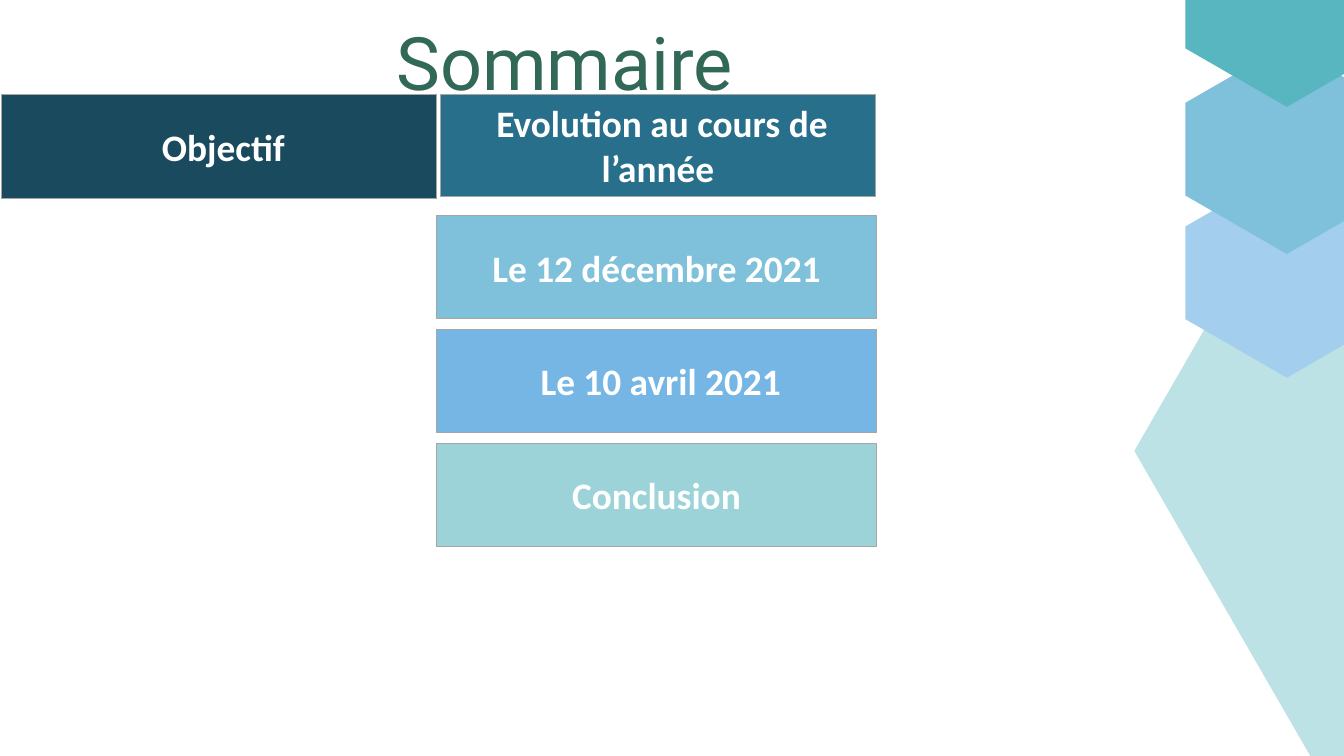
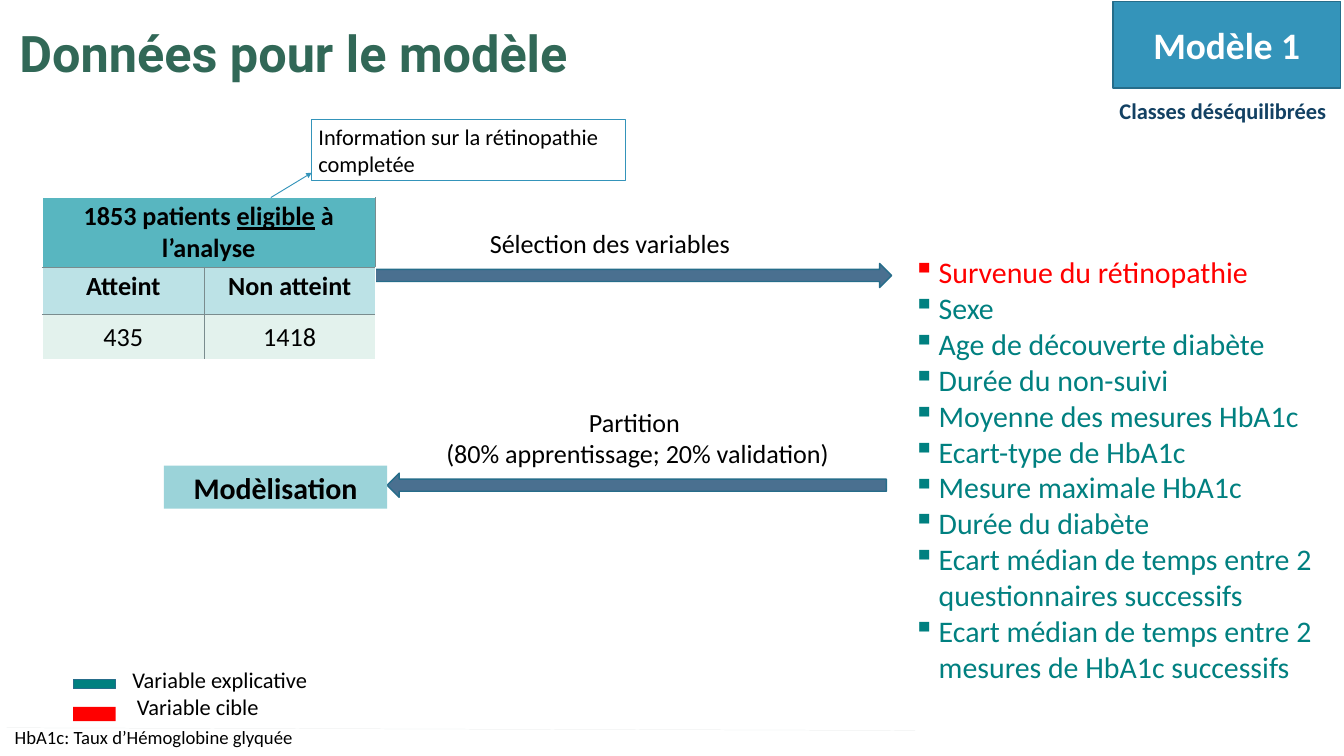
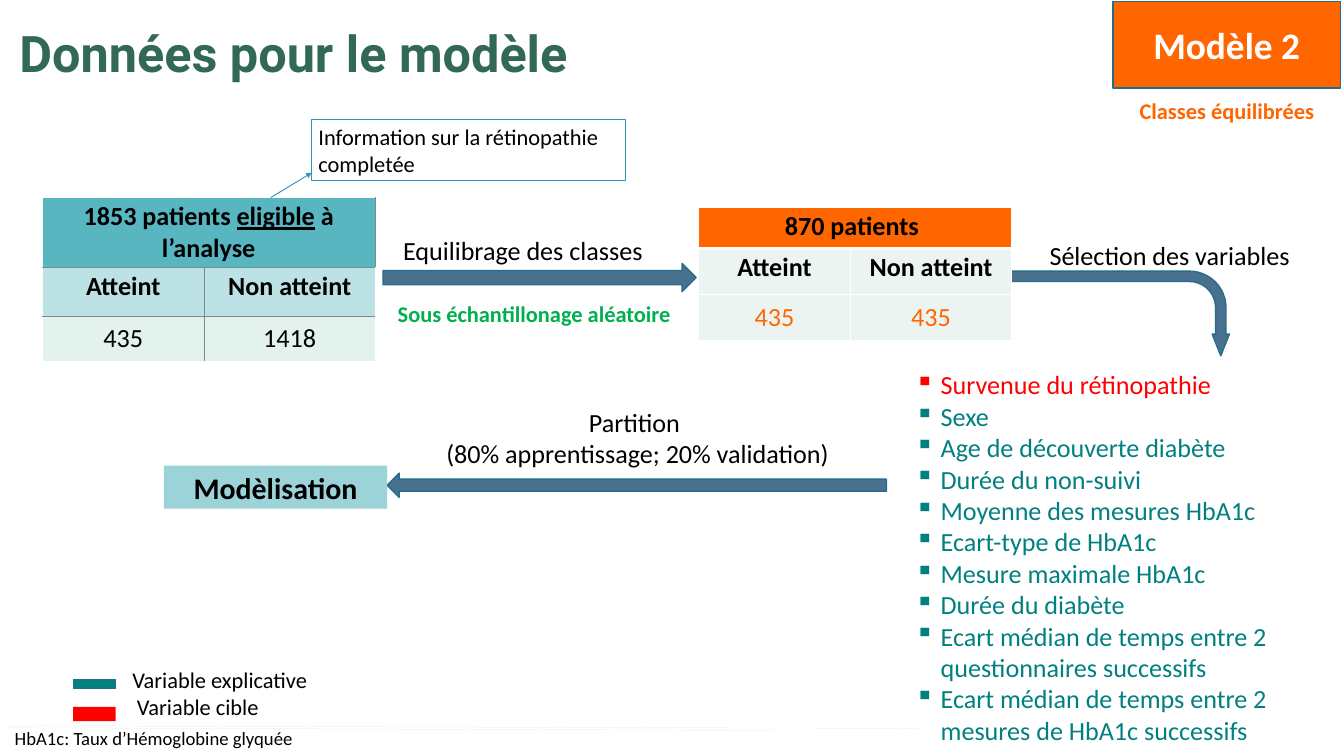
import lxml.etree
import pptx
import pptx.dml.color
import pptx.enum.shapes
import pptx.enum.text
import pptx.oxml.ns
import pptx.util

Inches = pptx.util.Inches
SHAPES = pptx.enum.shapes.MSO_SHAPE
ALIGN = pptx.enum.text.PP_ALIGN
ANCHOR = pptx.enum.text.MSO_ANCHOR
WIDTH, HEIGHT = 20, 11.25


class Theme:
    body, heading = "Calibri", "Roboto"
    green, black, white = "316857", "000000", "FFFFFF"
    teal, red, orange = "008080", "FF0000", "FF6600"
    blue, blue_edge, arrow = "3494BA", "266D8A", "4A7090"
    box_edge, cell_edge, hairline = "A6A6A6", "7A8C8E", "E4E8E8"
    aqua, sea, mist, mint, pale = "58B6C0", "9BD3D9", "BCE2E6", "E3F2ED", "ECF4F1"
    sky, ice, azure = "7FC1DB", "A3CEED", "75B6E5"
    petrol, ocean, navy, leaf = "1A4A5D", "276F8B", "134163", "00B050"
    cover, title, badge, step, label, small, note = 79, 54, 40, 32, 28, 24, 20


# Content
AGENDA_HEADS = [(" Objectif", Theme.petrol, 1.56),
                (" Evolution au cours de l’année", Theme.ocean, 1.53)]
AGENDA_STEPS = [("Le 12 décembre 2021", Theme.sky),
                (" Le 10 avril 2021", Theme.azure),
                ("Conclusion", Theme.sea)]
# Centre, half width, half width of the flat side, half height
DIAMOND = (21.4, 6.71, 4.52, 1.67, 4.94)
HEXAGONS = [(4.06, Theme.ice), (2.22, Theme.sky), (0.03, Theme.aqua)]

TARGET = "Survenue du rétinopathie"
EXPLANATORY = [
    "Sexe", "Age de découverte diabète", "Durée du non-suivi",
    "Moyenne des mesures HbA1c", "Ecart-type de HbA1c", "Mesure maximale HbA1c",
    "Durée du diabète", "Ecart médian de temps entre 2 questionnaires successifs",
    "Ecart médian de temps entre 2 mesures de HbA1c successifs"]
LEGEND = [("Variable explicative", Theme.teal, 1.87, 9.86, 10.11, 0.14, Theme.blue_edge),
          ("Variable cible", Theme.red, 1.94, 10.27, 10.52, 0.21, None)]
CLASSES = ["Atteint", "Non atteint"]
ELIGIBLE = dict(
    head=[("1853 patients ", {}), ("eligible", {"underline": True}), (" à l’analyse", {})],
    counts=["435", "1418"], fills=[Theme.aqua, Theme.mist, Theme.mint],
    edge=Theme.cell_edge, count_color=Theme.black, head_rule=1)
BALANCED = dict(
    head="870 patients ", counts=["435", "435"],
    fills=[Theme.orange, Theme.pale, Theme.pale],
    edge=Theme.white, count_color=Theme.orange, head_rule=3)
MODEL_1 = dict(
    name="Modèle 1", classes="Classes déséquilibrées", classes_left=16.56,
    fill=Theme.blue, color=Theme.navy, class_row=0.71, note_top=10.75,
    list_at=(13.49, 3.73, 6.29, 7.1), list_size=Theme.step,
    hairlines=[(0.1, 10.83, 13.62, 10.87)])
MODEL_2 = dict(
    name="Modèle 2", classes="Classes équilibrées", classes_left=16.86,
    fill=Theme.orange, color=Theme.orange, class_row=0.73, note_top=10.77,
    list_at=(13.52, 5.44, 6.25, 6.23), list_size=Theme.label,
    hairlines=[(0.1, 10.83, 11.47, 10.87), (0.17, 10.8, 13.68, 10.84)])


# Building blocks
def rgb(color):
    return pptx.dml.color.RGBColor.from_string(color)


def add_xml(parent, tag, **attributes):
    return lxml.etree.SubElement(parent, pptx.oxml.ns.qn(tag), attributes)


def write(frame, paragraphs, size=Theme.label, color=Theme.black, bold=False,
          font=Theme.body, align=ALIGN.LEFT, bullet=None, spacing=None):
    """Fill a frame; a paragraph is a string or a list of (text, overrides) runs."""
    frame.word_wrap = True
    for index, content in enumerate(paragraphs):
        paragraph = frame.add_paragraph() if index else frame.paragraphs[0]
        paragraph.alignment = align
        if spacing:
            paragraph.line_spacing = pptx.util.Pt(spacing)
        if bullet:
            properties = paragraph._p.get_or_add_pPr()
            properties.set("marL", str(Inches(0.38)))
            properties.set("indent", str(-Inches(0.38)))
            add_xml(properties, "a:buChar", char=bullet)
        for text, overrides in [(content, {})] if isinstance(content, str) else content:
            run = paragraph.add_run()
            run.text = text
            run.font.name, run.font.size = font, pptx.util.Pt(size)
            run.font.bold = bold
            run.font.underline = overrides.get("underline")
            run.font.color.rgb = rgb(overrides.get("color", color))


def add_text(slide, at, *paragraphs, inset=None, **style):
    frame = slide.shapes.add_textbox(*map(Inches, at)).text_frame
    write(frame, paragraphs, **style)
    frame.auto_size = pptx.enum.text.MSO_AUTO_SIZE.SHAPE_TO_FIT_TEXT
    if inset is not None:
        set_insets(frame, inset)


def set_insets(frame, inset):
    frame.margin_left = frame.margin_right = Inches(inset)
    frame.margin_top = frame.margin_bottom = Inches(inset)


def paint(shape, fill, edge=None, weight=1.5):
    shape.shadow.inherit = False
    shape.fill.solid()
    shape.fill.fore_color.rgb = rgb(fill)
    if edge:
        shape.line.color.rgb = rgb(edge)
        shape.line.width = pptx.util.Pt(weight)
    else:
        shape.line.fill.background()


def add_box(slide, at, fill, *paragraphs, edge=None, weight=1.5, inset=None,
            kind=SHAPES.RECTANGLE, rotation=0, adjust=(), **style):
    box = slide.shapes.add_shape(kind, *map(Inches, at))
    paint(box, fill, edge, weight)
    box.rotation = rotation
    for index, value in enumerate(adjust):
        box.adjustments[index] = value
    if paragraphs:
        box.text_frame.vertical_anchor = ANCHOR.MIDDLE
        write(box.text_frame, paragraphs, **style)
    if inset is not None:
        set_insets(box.text_frame, inset)


def add_arrow(slide, at, kind=SHAPES.RIGHT_ARROW, **options):
    add_box(slide, at, Theme.arrow, edge=Theme.blue_edge, kind=kind, **options)


def add_line(slide, ends, color, weight, pointed=False):
    line = slide.shapes.add_connector(
        pptx.enum.shapes.MSO_CONNECTOR.STRAIGHT, *map(Inches, ends))
    line.line.color.rgb = rgb(color)
    line.line.width = pptx.util.Pt(weight)
    if pointed:
        add_xml(line.line._get_or_add_ln(), "a:tailEnd", type="triangle")
    add_xml(line._element.spPr, "a:effectLst")


def add_polygon(slide, points, fill):
    start, *others = [(Inches(x), Inches(y)) for x, y in points]
    builder = slide.shapes.build_freeform(*start)
    builder.add_line_segments(others, close=True)
    paint(builder.convert_to_shape(), fill)
    slide.shapes[-1].line.fill.background()


def set_borders(cell, borders):
    properties = cell._tc.get_or_add_tcPr()
    for side, (color, weight) in zip("LRTB", borders):
        line = add_xml(properties, "a:ln" + side, w=str(pptx.util.Pt(weight)))
        add_xml(add_xml(line, "a:solidFill"), "a:srgbClr", val=color)


def add_patients(slide, patients, at, columns, rows):
    table = slide.shapes.add_table(3, 2, *map(Inches, at), Inches(sum(columns)),
                                   Inches(sum(rows))).table
    table.first_row = table.horz_banding = False
    for column, width in zip(table.columns, columns):
        column.width = Inches(width)
    for row, height in zip(table.rows, rows):
        row.height = Inches(height)
    table.cell(0, 0).merge(table.cell(0, 1))
    outer, inner = (Theme.white, 1), (patients["edge"], 1)
    head_rule = (patients["edge"], patients["head_rule"])
    contents = [[patients["head"], None], CLASSES, patients["counts"]]
    for r, line in enumerate(contents):
        for c, content in enumerate(line):
            cell = table.cell(r, c)
            set_borders(cell, [inner if c else outer, outer if c else inner,
                               [outer, head_rule, inner][r], [head_rule, inner, outer][r]])
            cell.fill.solid()
            cell.fill.fore_color.rgb = rgb(patients["fills"][r])
            counts = r == 2
            if counts:
                cell.vertical_anchor = ANCHOR.MIDDLE
            if content:
                write(cell.text_frame, [content], bold=not counts, align=ALIGN.CENTER,
                      color=patients["count_color"] if counts else Theme.black)


# Slides
def draw_agenda(slide):
    add_text(slide, (5.9, 0.36, 10.9, 1.24), "Sommaire", size=Theme.cover,
             font=Theme.heading, color=Theme.green, spacing=87.2, inset=0)
    x, y, half, flat, tall = DIAMOND
    add_polygon(slide, [(x - half, y), (x - flat, y - tall), (x + flat, y - tall),
                        (x + half, y), (x + flat, y + tall), (x - flat, y + tall)],
                Theme.mist)
    x, half, flat, tall = 19.15, 1.51, 0.69, 1.56
    for y, fill in HEXAGONS:
        add_polygon(slide, [(x, y - tall), (x + half, y - flat), (x + half, y + flat),
                            (x, y + tall), (x - half, y + flat), (x - half, y - flat)],
                    fill)
    style = dict(edge=Theme.box_edge, weight=1, inset=0.05, size=Theme.badge,
                 color=Theme.white, bold=True, align=ALIGN.CENTER)
    for index, (text, fill, height) in enumerate(AGENDA_HEADS):
        add_box(slide, (0.02 + 6.53 * index, 1.4, 6.48, height), fill, text, **style)
    for index, (text, fill) in enumerate(AGENDA_STEPS):
        add_box(slide, (6.5, 3.21 + 1.695 * index, 6.54, 1.53), fill, text, **style)


def draw_balancing(slide):
    add_text(slide, (5.9, 3.44, 4.67, 0.57), "Equilibrage des classes")
    add_arrow(slide, (5.7, 3.92, 4.66, 0.42))
    add_text(slide, (5.82, 4.41, 4.34, 0.5), "Sous échantillonage aléatoire",
             size=Theme.small, color=Theme.leaf, bold=True)
    add_text(slide, (15.52, 3.51, 4.03, 0.57), "Sélection des variables")
    add_arrow(slide, (16, 3, 1.26, 3.33), kind=SHAPES.BENT_ARROW, rotation=90,
              adjust=(0.123, 0.102, 0.256, 0.432))
    add_patients(slide, BALANCED, (10.39, 3.09), (2.27, 2.39), (0.61, 0.68, 0.68))


def draw_selection(slide):
    add_text(slide, (7.19, 3.34, 4.24, 0.57), "Sélection des variables")
    add_arrow(slide, (5.34, 3.92, 7.93, 0.36))


def draw_model(slide, model, draw_preparation):
    # Title and model badge
    add_text(slide, (0.19, 0.28, 11.71, 1.01), "Données pour le modèle",
             size=Theme.title, font=Theme.heading, color=Theme.green, bold=True)
    add_box(slide, (16.56, 0.02, 3.39, 1.29), model["fill"], model["name"],
            edge=Theme.blue_edge, size=Theme.badge, color=Theme.white, bold=True,
            align=ALIGN.CENTER)
    add_text(slide, (model["classes_left"], 1.39, 4.03, 0.5), model["classes"],
             size=Theme.small, color=model["color"], bold=True)

    # Patients and their preparation
    draw_preparation(slide)
    add_patients(slide, ELIGIBLE, (0.63, 2.94), (2.41, 2.54),
                 (0.75, model["class_row"], 0.67))
    add_box(slide, (4.64, 1.78, 4.67, 0.91), Theme.white,
            "Information sur la rétinopathie completée", edge=Theme.blue,
            size=Theme.small)
    add_line(slide, (4.03, 2.94, 4.64, 2.57), Theme.blue, 1, pointed=True)

    # Variables, partition and modelling
    variables = [[(TARGET, {"color": Theme.red})]] + EXPLANATORY
    add_text(slide, model["list_at"], *variables, size=model["list_size"],
             color=Theme.teal, bullet="▪")
    add_arrow(slide, (5.76, 7.04, 7.43, 0.36), rotation=180)
    add_text(slide, (6.51, 6, 5.95, 1.04), "Partition ",
             "(80% apprentissage; 20% validation) ", align=ALIGN.CENTER)
    add_box(slide, (2.44, 6.93, 3.32, 0.64), Theme.sea, "Modèlisation",
            size=Theme.step, bold=True, align=ALIGN.CENTER)

    # Legend and footer
    for text, fill, left, top, key_top, key_height, edge in LEGEND:
        add_box(slide, (1.09, key_top, 0.63, key_height), fill, edge=edge)
        add_text(slide, (left, top, 3.7, 0.5), text, size=Theme.small)
    for ends in model["hairlines"]:
        add_line(slide, ends, Theme.hairline, 0.25)
    add_text(slide, (0.12, model["note_top"], 13.99, 0.44),
             "HbA1c: Taux d’Hémoglobine glyquée", size=Theme.note)


def main():
    deck = pptx.Presentation()
    deck.slide_width, deck.slide_height = Inches(WIDTH), Inches(HEIGHT)
    blank = deck.slide_layouts[6]
    draw_agenda(deck.slides.add_slide(blank))
    draw_model(deck.slides.add_slide(blank), MODEL_1, draw_selection)
    draw_model(deck.slides.add_slide(blank), MODEL_2, draw_balancing)
    deck.save("out.pptx")


if __name__ == "__main__":
    main()
